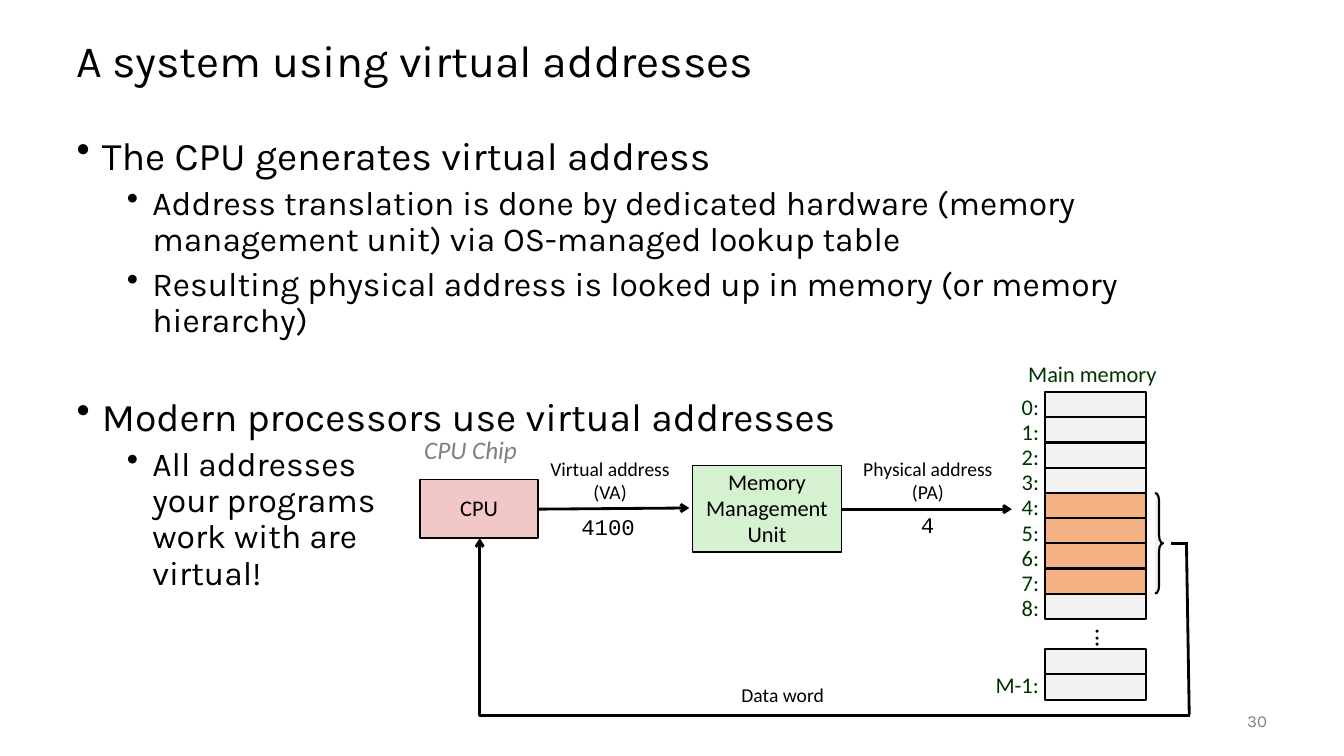
import pptx
import pptx.util
import pptx.dml.color
import pptx.enum.shapes
import pptx.enum.text
import pptx.oxml.ns
from lxml import etree

Cm = pptx.util.Cm
Pt = pptx.util.Pt
RGB = pptx.dml.color.RGBColor.from_string
Shape = pptx.enum.shapes.MSO_SHAPE
Link = pptx.enum.shapes.MSO_CONNECTOR
Align = pptx.enum.text.PP_ALIGN
Anchor = pptx.enum.text.MSO_ANCHOR
qn = pptx.oxml.ns.qn

theme = {
    "font": "Karla", "label": "Calibri", "code": "Courier New",
    "ink": "000000", "gray": "808080", "green": "003300",
    "cell": "F2F2F2", "used": "F4B183", "unit": "D5F1CF", "chip": "F1C7C7",
    "title": 32, "head": 28, "body": 24, "large": 18, "mid": 16, "small": 14, "page": 12,
}

deck = pptx.Presentation()
deck.slide_width = Cm(33.87)
deck.slide_height = Cm(19.05)
slide = deck.slides.add_slide(deck.slide_layouts[6])
shapes = slide.shapes


def write(words, box=None, shape=None, size="mid", font="label", color="ink", align=Align.LEFT,
          anchor=Anchor.TOP, wrap=False, lines=1.0, before=0, indent=None, italic=False):
    shape = shape or shapes.add_textbox(*map(Cm, box))
    frame = shape.text_frame
    frame.word_wrap = wrap
    frame.vertical_anchor = anchor
    para = frame.add_paragraph() if frame.text else frame.paragraphs[0]
    para.text = words
    para.alignment = align
    para.line_spacing = lines
    para.space_before = Pt(before)
    if indent:
        props = para._p.get_or_add_pPr()
        props.set("marL", str(Cm(indent)))
        props.set("indent", str(-Cm(0.64)))
        etree.SubElement(props, qn("a:buChar")).set("char", "•")
    for run in para.runs:
        run.font.name = theme[font]
        run.font.size = Pt(theme[size])
        run.font.color.rgb = RGB(theme[color])
        run.font.italic = italic
    return shape


def join(start, end, arrow=False, kind=Link.STRAIGHT):
    line = shapes.add_connector(kind, *map(Cm, start + end))
    line.line.color.rgb = RGB(theme["ink"])
    line.line.width = Pt(2)
    if arrow:
        etree.SubElement(line.line._get_or_add_ln(), qn("a:tailEnd")).set("type", "arrow")
    etree.SubElement(line.element.spPr, qn("a:effectLst"))
    return line


write("A system using virtual addresses", (1.68, 0.64, 30.48, 1.9), size="title", font="font",
      anchor=Anchor.MIDDLE, wrap=True, lines=0.9)

body = shapes.add_textbox(*map(Cm, (1.68, 3.18, 30.48, 12.45)))
for level, before, words in [
    (0, 0, "The CPU generates virtual address"),
    (1, 6, "Address translation is done by dedicated hardware (memory management unit) "
           "via OS-managed lookup table"),
    (1, 6, "Resulting physical address is looked up in memory (or memory hierarchy)"),
    (0, 37, "Modern processors use virtual addresses"),
    (1, 6, "All addresses\nyour programs\nwork with are\nvirtual!"),
]:
    write(words, shape=body, size=("head", "body")[level], font="font", wrap=True,
          lines=(1.0, 0.9)[level], before=before, indent=(0.64, 1.91)[level])

pitch = 2.54 / 4
rows = [(9.88 + n * pitch, "used" if 4 <= n <= 7 else "cell") for n in range(9)]
rows += [(16.36 + n * pitch, "cell") for n in range(2)]
blocks = [(Shape.RECTANGLE, (26.34, top, 2.54, pitch), fill, 1.5, "") for top, fill in rows]
blocks += [
    (Shape.RIGHT_BRACE, (29.11, 12.42, 0.2, 2.54), "cell", 1.5, ""),
    (Shape.RECTANGLE, (17.45, 11.73, 3.76, 2.18), "unit", 1, "Memory\nManagement\nUnit"),
    (Shape.RECTANGLE, (10.59, 12.09, 2.97, 1.47), "chip", 1, "CPU"),
]
for kind, box, fill, width, words in blocks:
    block = shapes.add_shape(kind, *map(Cm, box))
    block.shadow.inherit = False
    block.fill.solid()
    block.fill.fore_color.rgb = RGB(theme[fill])
    block.line.color.rgb = RGB(theme["ink"])
    block.line.width = Pt(width)
    if kind == Shape.RIGHT_BRACE:
        block.adjustments[0] = 1
    if words:
        write(words, shape=block, align=Align.CENTER, anchor=Anchor.MIDDLE, lines=0.98)

for n in range(9):
    write(f"{n}:", (25.5, 9.86 + n * pitch, 0.94, 0.84), color="green", lines=0.88)
write("M-1:", (24.84, 16.87, 1.63, 0.84), color="green", lines=0.88)
write("Main memory", (25.6, 9.04, 3.86, 0.84), color="green", align=Align.CENTER, lines=0.88)

for box, *words in [
    ((13.56, 11.4, 3.63, 1.45), "Virtual address", "(VA)"),
    ((21.44, 11.4, 3.89, 1.45), "Physical address", "(PA)"),
    ((18.39, 17.12, 2.67, 0.84), "Data word"),
]:
    label = None
    for word in words:
        label = write(word, box, label, size="small", align=Align.CENTER,
                      anchor=Anchor.MIDDLE, lines=0.98)

dots = write("...", (26.57, 15.6, 2.54, 0.64), size="large", align=Align.CENTER,
             anchor=Anchor.MIDDLE, lines=0.98)
dots.text_frame._txBody.bodyPr.set("vert", "eaVert")

join((13.56, 12.83), (17.37, 12.8), arrow=True)
join((21.21, 12.83), (25.5, 12.83), arrow=True)
join((29.51, 13.69), (29.95, 13.69))
join((29.9, 13.72), (29.97, 18.01))
back = join((12.09, 13.56), (30, 18.03), arrow=True, kind=Link.ELBOW)
back.element.spPr.find(qn("a:xfrm")).set("rot", "10800000")
back.element.spPr.find(qn("a:prstGeom")).set("prst", "bentConnector2")

write("CPU Chip", (10.44, 10.82, 2.95, 1.02), size="large", color="gray", italic=True)
write("4", (22.96, 12.75, 0.86, 0.94), font="code")
write("4100", (14.4, 12.8, 1.88, 0.94), font="code")
write("30", (29.64, 17.65, 2.54, 1.02), size="page", font="font", color="gray",
      align=Align.RIGHT, anchor=Anchor.MIDDLE, wrap=True)

deck.save("out.pptx")
